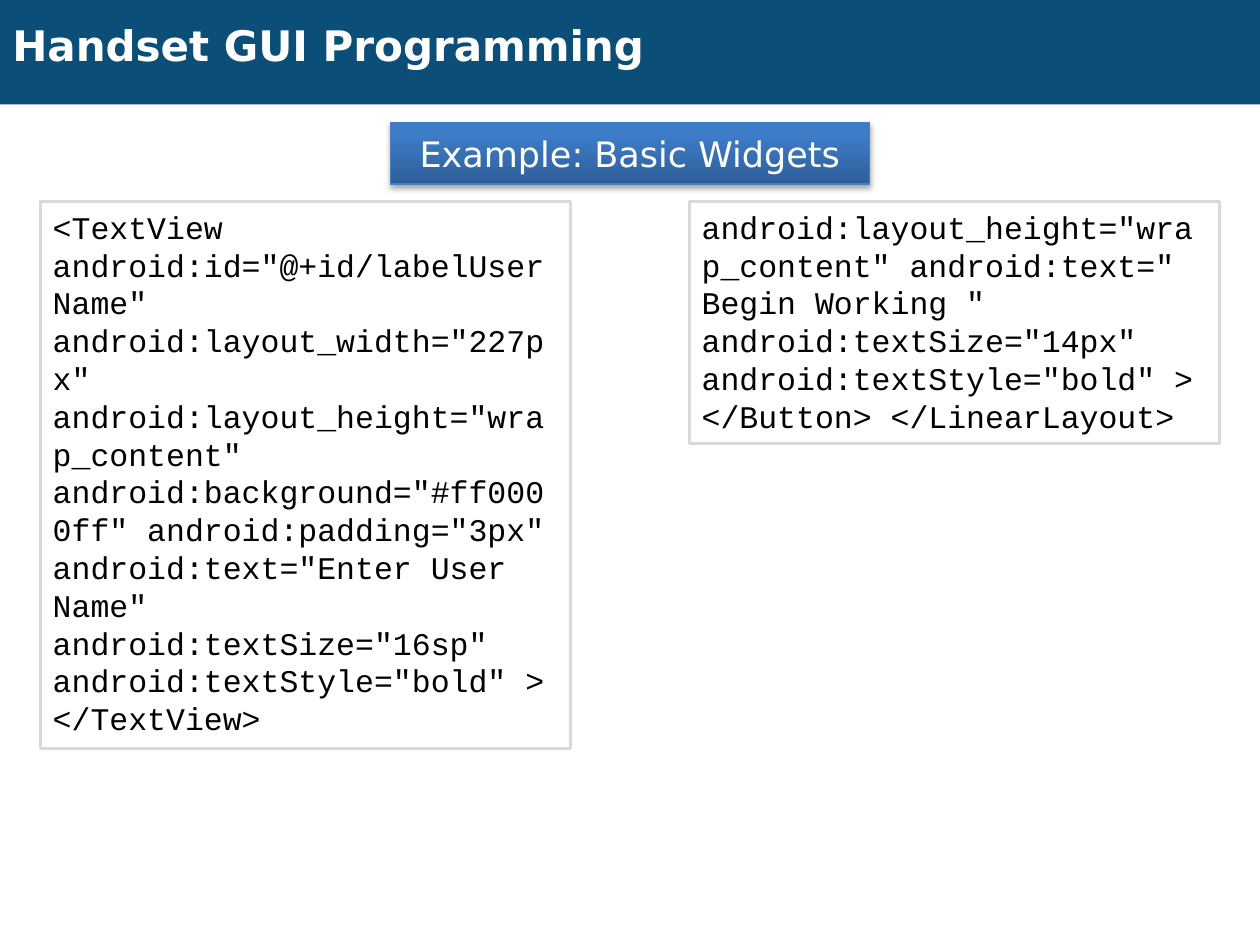
from copy import deepcopy

from lxml import etree
from pptx import Presentation
from pptx.dml.color import RGBColor
from pptx.enum.shapes import MSO_SHAPE
from pptx.enum.text import MSO_ANCHOR, MSO_AUTO_SIZE, PP_ALIGN
from pptx.oxml import parse_xml
from pptx.oxml.ns import nsdecls, qn
from pptx.util import Inches, Pt

COLORS = {
    "header": "0B4E78", "white": "FFFFFF", "black": "000000",
    "border": "D9D9D9", "label_line": "4B7EBC",
}
LABEL_STOPS = [(0, "2F5F99"), (0.8, "3D7CC7"), (1, "3A7CCB")]
CODE_LEFT = (
    '<TextView android:id="@+id/labelUserName" android:layout_width="227px" '
    'android:layout_height="wrap_content" android:background="#ff0000ff" '
    'android:padding="3px" android:text="Enter User Name" '
    'android:textSize="16sp" android:textStyle="bold" > </TextView>'
)
CODE_RIGHT = (
    'android:layout_height="wrap_content" android:text=" Begin Working " '
    'android:textSize="14px" android:textStyle="bold" > </Button> </LinearLayout>'
)


def add_rect(left, top, width, height):
    sp = slide.shapes.add_shape(MSO_SHAPE.RECTANGLE, Inches(left), Inches(top),
                                Inches(width), Inches(height))
    sp.shadow.inherit = False
    return sp


def set_text(sp, text, size, font, color, anchor, align=PP_ALIGN.LEFT, bold=False):
    tf = sp.text_frame
    tf.word_wrap = True
    tf.vertical_anchor = anchor
    p = tf.paragraphs[0]
    p.text = text
    p.alignment = align
    p.font.size = Pt(size)
    p.font.name = font
    p.font.bold = bold
    p.font.color.rgb = RGBColor.from_string(COLORS[color])


prs = Presentation()
prs.slide_width, prs.slide_height = Inches(10), Inches(7.5)
slide = prs.slides.add_slide(prs.slide_layouts[6])

# Header band and title
band = add_rect(0, 0, 10, 0.83)
band.fill.solid()
band.fill.fore_color.rgb = RGBColor.from_string(COLORS["header"])
band.line.fill.background()
title = slide.shapes.add_textbox(0, Inches(0.14), Inches(9), Inches(0.43))
set_text(title, "Handset GUI Programming", 24, "DejaVu Sans", "white",
         MSO_ANCHOR.MIDDLE, bold=True)

# Example label with a three-stop gradient and a soft shadow
label = add_rect(3.1, 0.97, 3.8, 0.49)
label.fill.gradient()
label.fill.gradient_angle = 90
stop_list = label._element.spPr.find(qn("a:gradFill")).find(qn("a:gsLst"))
stop_list.append(deepcopy(stop_list[-1]))
for stop, (position, color) in zip(label.fill.gradient_stops, LABEL_STOPS):
    stop.position = position
    stop.color.rgb = RGBColor.from_string(color)
label.line.color.rgb = RGBColor.from_string(COLORS["label_line"])
label.line.width = Pt(0.75)
effects = label._element.spPr.find(qn("a:effectLst"))
shadow = parse_xml(
    f'<a:outerShdw {nsdecls("a")} blurRad="{Pt(3.1)}" dist="{Pt(1.8)}" '
    'dir="5400000" rotWithShape="0"/>')
shadow_color = etree.SubElement(shadow, qn("a:srgbClr"), val=COLORS["black"])
etree.SubElement(shadow_color, qn("a:alpha"), val="35000")
effects.append(shadow)
set_text(label, "Example: Basic Widgets", 20, "DejaVu Sans", "white",
         MSO_ANCHOR.MIDDLE, PP_ALIGN.CENTER)

# Code columns
for left, height, code in [(0.32, 4.34, CODE_LEFT), (5.47, 1.92, CODE_RIGHT)]:
    box = add_rect(left, 1.6, 4.21, height)
    box.fill.background()
    box.line.color.rgb = RGBColor.from_string(COLORS["border"])
    box.line.width = Pt(1.5)
    set_text(box, code, 18, "Courier New", "black", MSO_ANCHOR.TOP)
    box.text_frame.auto_size = MSO_AUTO_SIZE.SHAPE_TO_FIT_TEXT

prs.save("out.pptx")
